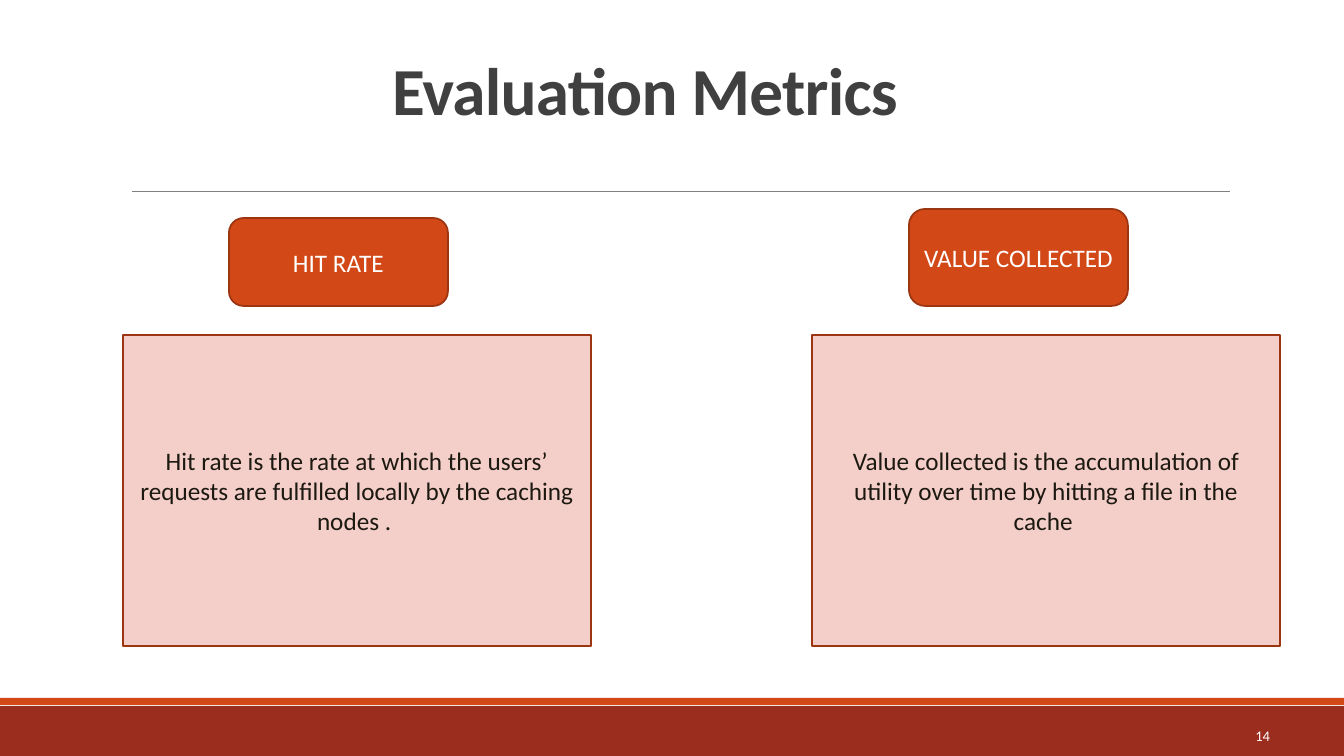
from lxml import etree
from pptx import Presentation
from pptx.dml.color import RGBColor
from pptx.enum.shapes import MSO_CONNECTOR as Connector, MSO_SHAPE as Shape
from pptx.enum.text import MSO_ANCHOR as Anchor, PP_ALIGN as Align
from pptx.oxml.ns import qn
from pptx.util import Pt

EMU_PER_PX = 914400 / 100.8
WIDTH, HEIGHT = 1344, 756


def px(length):
    return round(length * EMU_PER_PX)


def color(value):
    return RGBColor.from_string(value)


def write(frame, text, size=18, ink="FFFFFF", font="Calibri", bold=False,
          align=Align.CENTER, line_spacing=None, tracking=None):
    """Fill a text frame with one paragraph; tracking is in points."""
    frame.word_wrap = True
    frame.vertical_anchor = Anchor.MIDDLE
    para = frame.paragraphs[0]
    para.alignment = align
    if line_spacing:
        para.line_spacing = line_spacing
    span = para.add_run()
    span.text = text
    span.font.name = font
    span.font.size = Pt(size)
    span.font.bold = bold
    span.font.color.rgb = color(ink)
    if tracking:
        span.font._element.set("spc", str(round(tracking * 100)))


class SlideBuilder:
    ORANGE = "D34817"
    RED = "9B2D1F"
    PINK = "F4CEC9"
    OUTLINE = "9C3511"
    GRAY = "808080"
    TITLE_INK = "404040"
    BODY_INK = "1C1911"

    def __init__(self, slide):
        self.slide = slide

    def box(self, left, top, width, height, fill, kind=Shape.RECTANGLE, outline=None):
        box = self.slide.shapes.add_shape(kind, px(left), px(top), px(width), px(height))
        box.shadow.inherit = False
        box.fill.solid()
        box.fill.fore_color.rgb = color(fill)
        if outline:
            box.line.color.rgb = color(outline)
            box.line.width = Pt(1.25)
        else:
            box.line.fill.background()
        return box

    def text(self, left, top, width, height, text, **text_format):
        box = self.slide.shapes.add_textbox(px(left), px(top), px(width), px(height))
        write(box.text_frame, text, **text_format)

    def rule(self, left, right, top):
        line = self.slide.shapes.add_connector(
            Connector.STRAIGHT, px(left), px(top), px(right), px(top))
        line.line.color.rgb = color(self.GRAY)
        line.line.width = Pt(0.5)
        etree.SubElement(line._element.spPr, qn("a:effectLst"))

    def metric(self, name, label_left, label_top, definition, panel_left):
        """Draw a rounded label above the panel that defines it."""
        label_bottom = 306
        label = self.box(label_left, label_top, 219, label_bottom - label_top,
                         self.ORANGE, Shape.ROUNDED_RECTANGLE, self.OUTLINE)
        write(label.text_frame, name)
        panel = self.box(panel_left, 335, 468, 311, self.PINK, outline=self.OUTLINE)
        write(panel.text_frame, definition, ink=self.BODY_INK)


def main():
    deck = Presentation()
    deck.slide_width, deck.slide_height = px(WIDTH), px(HEIGHT)
    page = SlideBuilder(deck.slides.add_slide(deck.slide_layouts[6]))

    page.box(0, 706, WIDTH, 50, page.RED)
    page.box(0, 698, WIDTH, 7, page.ORANGE)
    page.rule(132, 1230, 191)
    page.text(0, 50, 1290, 89, "Evaluation Metrics", size=48, ink=page.TITLE_INK,
              bold=True, line_spacing=0.85, tracking=-0.5)
    page.text(1061, 716, 219, 40, "14", size=10.5, align=Align.RIGHT)

    page.metric("HIT RATE", 229, 218,
                "Hit rate is the rate at which the users’ requests are fulfilled "
                "locally by the caching nodes . ", 123)
    page.metric("VALUE COLLECTED", 909, 209,
                "Value collected is the accumulation of utility over time by "
                "hitting a file in the cache ", 812)

    deck.save("out.pptx")


if __name__ == "__main__":
    main()
